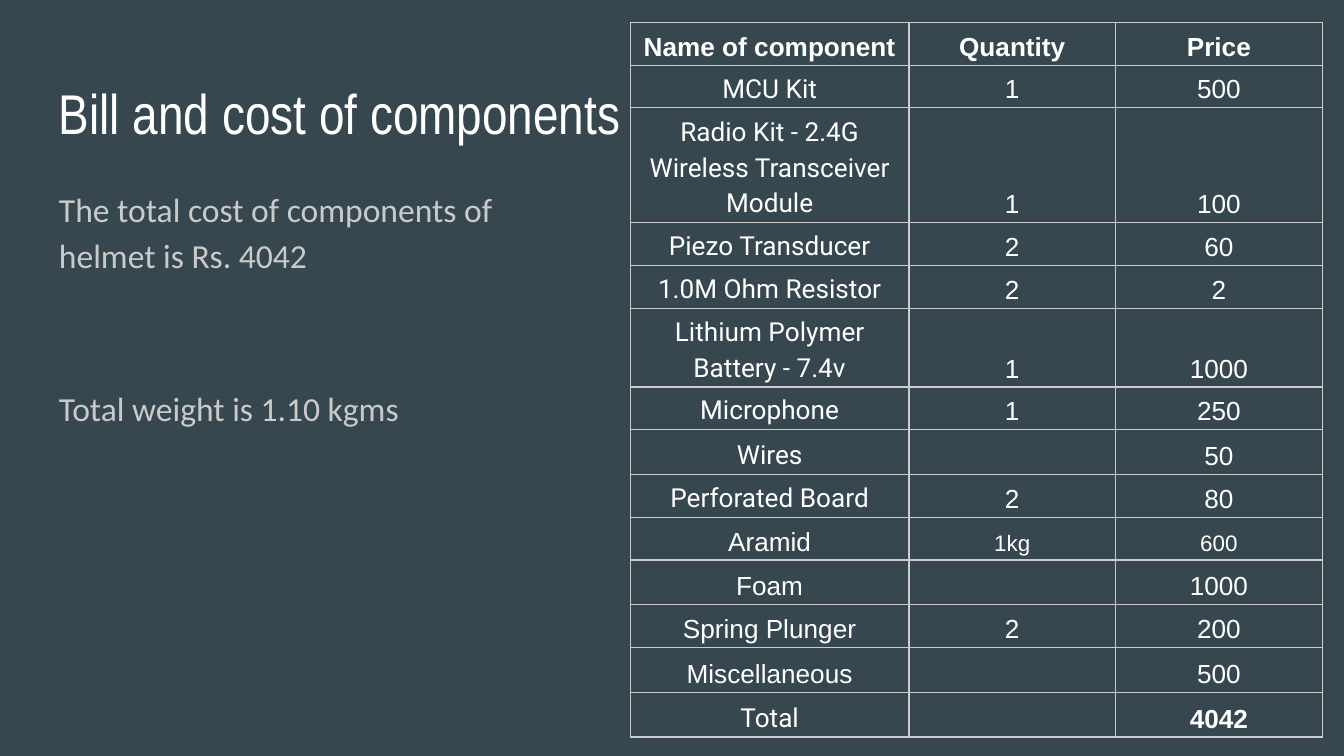
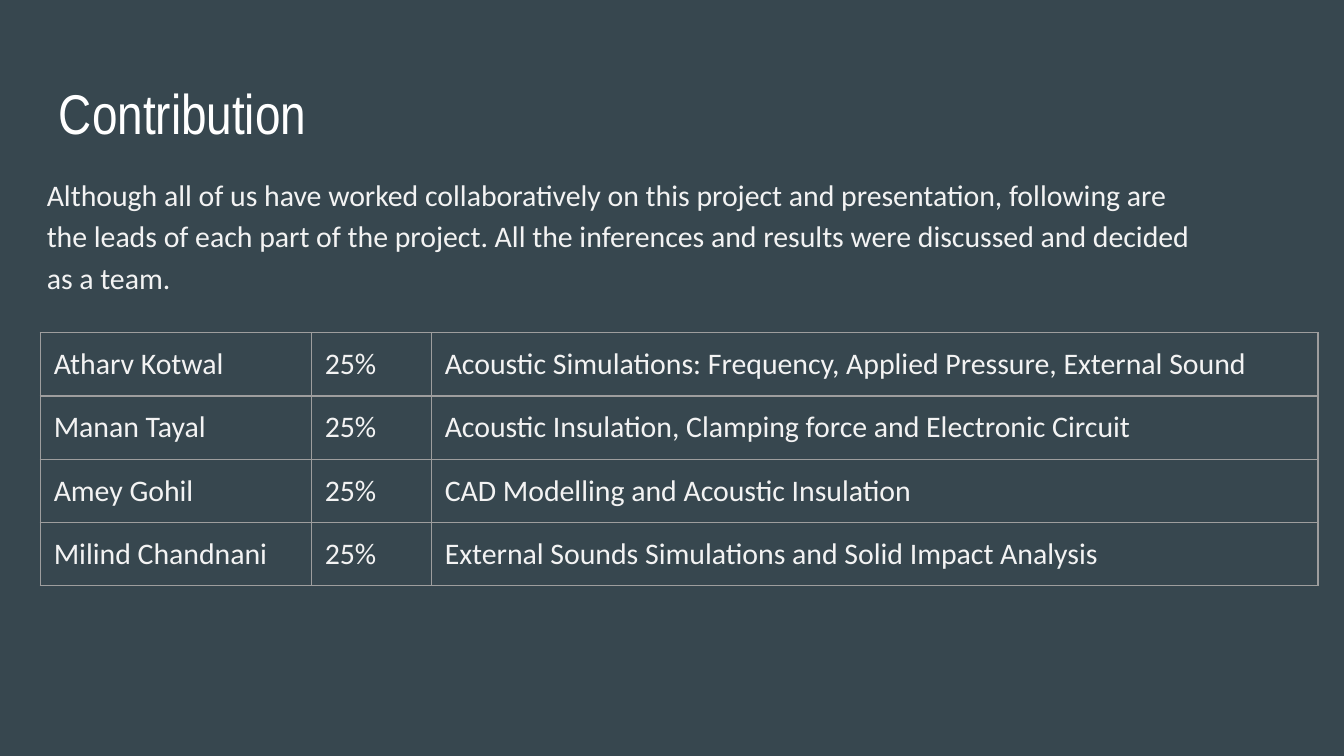
from lxml import etree
from pptx import Presentation
from pptx.dml.color import RGBColor
from pptx.enum.text import MSO_ANCHOR, PP_ALIGN
from pptx.oxml.ns import qn
from pptx.util import Pt

LEFT, CENTER = PP_ALIGN.LEFT, PP_ALIGN.CENTER
TOP, BOTTOM = MSO_ANCHOR.TOP, MSO_ANCHOR.BOTTOM

SLATE = RGBColor(0x37, 0x47, 0x4F)
WHITE = RGBColor(0xFF, 0xFF, 0xFF)
OFF_WHITE = RGBColor(0xF3, 0xF3, 0xF3)
BODY_GREY = RGBColor(0xCA, 0xCA, 0xCA)
BILL_LINE = RGBColor(0xCC, 0xCC, 0xCC)
LEADS_LINE = RGBColor(0x9E, 0x9E, 0x9E)

SANS, NARROW, BODY, LABEL = "Arial", "Arial Narrow", "Calibri", "Roboto"
INSET = 7.2
BILL_INSET = 1.8

COST_NOTES = [
    "The total cost of components of helmet is Rs. 4042",
    "Total weight is 1.10 kgms",
]
BILL_HEAD = ("Name of component", "Quantity", "Price")
BILL = [
    ("MCU Kit", "1", "500"),
    ("Radio Kit - 2.4G Wireless Transceiver Module", "1", "100"),
    ("Piezo Transducer", "2", "60"),
    ("1.0M Ohm Resistor", "2", "2"),
    ("Lithium Polymer Battery - 7.4v", "1", "1000"),
    ("Microphone", "1", "250"),
    ("Wires", "", "50"),
    ("Perforated Board", "2", "80"),
    ("Aramid", "1kg", "600"),
    ("Foam", "", "1000"),
    ("Spring Plunger", "2", "200"),
    ("Miscellaneous", "", "500"),
    ("Total", "", "4042"),
]
SANS_NAMES = {"Aramid", "Foam", "Spring Plunger", "Miscellaneous"}
SMALL_VALUES = {"1kg", "600"}
BOLD_VALUES = {*BILL_HEAD, "4042"}
BILL_COLS = (149.25, 110.7, 110.7)

TEAM_NOTE = (
    "Although all of us have worked collaboratively on this project and "
    "presentation, following are the leads of each part of the project. All the "
    "inferences and results were discussed and decided as a team."
)
LEADS = [
    ("Atharv Kotwal", "25%",
     "Acoustic Simulations: Frequency, Applied Pressure, External Sound"),
    ("Manan Tayal", "25%", "Acoustic Insulation, Clamping force and Electronic Circuit"),
    ("Amey Gohil", "25%", "CAD Modelling and Acoustic Insulation"),
    ("Milind Chandnani", "25%", "External Sounds Simulations and Solid Impact Analysis"),
]
LEADS_COLS = (145.2, 64.3, 475)


def write(p, text, font=BODY, size=16, color=OFF_WHITE, bold=False,
          align=LEFT, spacing=None, before=None):
    p.alignment = align
    if spacing:
        p.line_spacing = spacing
    if before:
        p.space_before = Pt(before)
    if not text:
        # An empty cell takes its line height from the end-of-paragraph size
        etree.SubElement(p._p, qn("a:endParaRPr"), sz=str(size * 100))
        return
    r = p.add_run()
    r.text = text
    r.font.name, r.font.size, r.font.bold = font, Pt(size), bold
    r.font.color.rgb = color


def add_text(slide, box, texts, gap=None, **fmt):
    tf = slide.shapes.add_textbox(*map(Pt, box)).text_frame
    tf.word_wrap = True
    tf.margin_left = tf.margin_right = tf.margin_top = tf.margin_bottom = Pt(INSET)
    for i, text in enumerate(texts):
        p = tf.add_paragraph() if i else tf.paragraphs[0]
        write(p, text, before=gap if i else None, **fmt)


def add_borders(cell, color):
    tc_pr = cell._tc.get_or_add_tcPr()
    for side in ("lnL", "lnR", "lnT", "lnB"):
        ln = etree.SubElement(tc_pr, qn(f"a:{side}"), w=str(Pt(0.75)))
        fill = etree.SubElement(ln, qn("a:solidFill"))
        etree.SubElement(fill, qn("a:srgbClr"), val=str(color))


def add_grid(slide, left, top, cols, heights, rows, line, inset, anchor, style):
    """Add a table; style(row, column, text) gives the format of a cell's text."""
    box = map(Pt, (left, top, sum(cols), sum(heights)))
    table = slide.shapes.add_table(len(rows), len(cols), *box).table
    table.first_row = table.horz_banding = False
    for column, width in zip(table.columns, cols):
        column.width = Pt(width)
    for i, (row, height) in enumerate(zip(rows, heights)):
        table.rows[i].height = Pt(height)
        for j, text in enumerate(row):
            cell = table.cell(i, j)
            cell.margin_left = cell.margin_right = Pt(inset)
            cell.margin_top = cell.margin_bottom = Pt(inset)
            cell.vertical_anchor = anchor
            add_borders(cell, line)
            cell.fill.background()
            write(cell.text_frame.paragraphs[0], text, **style(i, j, text))


def bill_style(i, j, text):
    is_label = i and j == 0 and text not in SANS_NAMES
    return dict(font=LABEL if is_label else SANS,
                size=12 if text in SMALL_VALUES else 14,
                bold=text in BOLD_VALUES, color=WHITE, align=CENTER, spacing=1.15)


def leads_style(i, j, text):
    return {}


def add_slide(prs, title):
    slide = prs.slides.add_slide(prs.slide_layouts[6])
    slide.background.fill.solid()
    slide.background.fill.fore_color.rgb = SLATE
    add_text(slide, (24.5, 35, 671, 45.4), [title], font=NARROW, size=30, color=WHITE)
    return slide


def main():
    prs = Presentation()
    prs.slide_width, prs.slide_height = Pt(720), Pt(405)

    slide = add_slide(prs, "Bill and cost of components")
    add_text(slide, (24.5, 90.7, 273, 269), COST_NOTES, gap=57,
             size=18, color=BODY_GREY, spacing=1.15)
    rows = [BILL_HEAD, *BILL]
    heights = [21 if quantity else 24 for _, quantity, _ in rows]
    add_grid(slide, 337.7, 12, BILL_COLS, heights, rows, BILL_LINE,
             BILL_INSET, BOTTOM, bill_style)

    slide = add_slide(prs, "Contribution")
    add_grid(slide, 21.6, 178.3, LEADS_COLS, [33.9] * len(LEADS), LEADS, LEADS_LINE,
             INSET, TOP, leads_style)
    add_text(slide, (18, 84.7, 636.5, 80), [TEAM_NOTE], spacing=1.15)

    prs.save("out.pptx")


if __name__ == "__main__":
    main()
